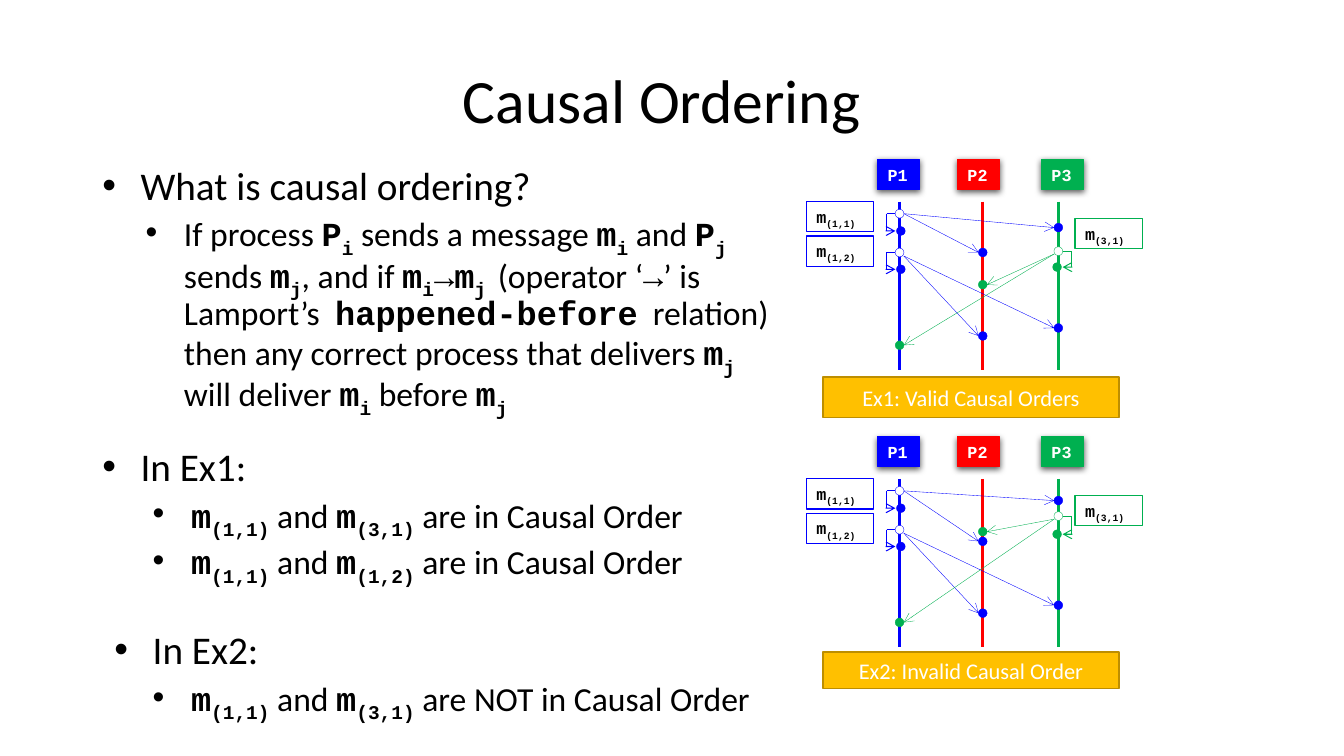
from dataclasses import dataclass
from typing import NamedTuple

from lxml import etree
from pptx import Presentation
from pptx.dml.color import RGBColor
from pptx.enum.shapes import MSO_CONNECTOR, MSO_SHAPE
from pptx.enum.text import MSO_ANCHOR, MSO_AUTO_SIZE, PP_ALIGN
from pptx.oxml.ns import qn
from pptx.util import Emu, Inches, Pt

RECTANGLE, OVAL = MSO_SHAPE.RECTANGLE, MSO_SHAPE.OVAL
STRAIGHT = MSO_CONNECTOR.STRAIGHT
TOP, MIDDLE = MSO_ANCHOR.TOP, MSO_ANCHOR.MIDDLE
LEFT, CENTER = PP_ALIGN.LEFT, PP_ALIGN.CENTER
GROW, FIXED = MSO_AUTO_SIZE.SHAPE_TO_FIT_TEXT, MSO_AUTO_SIZE.NONE

COLUMNS, ROWS = 160, 90
SLIDE_WIDTH, SLIDE_HEIGHT = Emu(12192000), Emu(6858000)
BLACK, WHITE, BLUE, RED, GREEN = "000000", "FFFFFF", "0000FF", "FF0000", "00B050"
GOLD, DARK_GOLD = "FFC000", "BD8E00"
SANS, MONO = "Calibri", "Courier New"
DOT, DOT_EDGE = 1.05, 0.5


class Run(NamedTuple):
    text: str
    font: str = SANS
    bold: bool = False
    sub: bool = False


class Box(NamedTuple):
    column: float
    row: float
    width: float
    height: float


@dataclass(frozen=True)
class Bullet:
    runs: list[Run]
    size: float
    indent: float
    before: float = 3.8


@dataclass(frozen=True)
class Process:
    name: str
    color: str
    header: float
    lifeline: float


@dataclass(frozen=True)
class Message:
    index: str
    sender: int
    label: tuple[float, float]
    sent: float
    leaves: float
    looped: float
    delivered: dict[int, float]


@dataclass(frozen=True)
class Diagram:
    caption: str
    top: float
    caption_row: float
    caption_height: float
    messages: list[Message]


def symbol(letter: str, index: str) -> list[Run]:
    return [Run(letter, MONO, True), Run(index, MONO, True, True)]


def comparison(first: str, second: str, verdict: str) -> list[Run]:
    return [*symbol("m", first), Run(" and "), *symbol("m", second), Run(verdict)]


BULLETS = [
    Bullet([Run("What is causal ordering?")], 28, 0.38),
    Bullet([
        Run("If process "), *symbol("P", "i"), Run(" sends a message "), *symbol("m", "i"),
        Run(" and "), *symbol("P", "j"), Run(" sends "), *symbol("m", "j"),
        Run(", and if "), *symbol("m", "i"), *symbol("→m", "j "), Run("(operator ‘"),
        Run("→", MONO), Run("’ is Lamport’s  "), Run("happened-before", MONO, True),
        Run("  relation) then any correct process that delivers "), *symbol("m", "j"),
        Run(" will deliver "), *symbol("m", "i"), Run(" before "), *symbol("m", "j"),
    ], 24, 0.81),
    Bullet([Run("In Ex1:")], 28, 0.38, 23),
    Bullet(comparison("(1,1)", "(3,1)", " are in Causal Order"), 24, 0.88),
    Bullet(comparison("(1,1)", "(1,2)", " are in Causal Order"), 24, 0.88),
    Bullet([Run("In Ex2:")], 28, 0.5, 34),
    Bullet(comparison("(1,1)", "(3,1)", " are NOT in Causal Order"), 24, 0.88),
]
PROCESSES = [
    Process("P1", BLUE, 104.5, 107.1),
    Process("P2", RED, 114, 117),
    Process("P3", GREEN, 124, 126),
]
SECOND = Message("(1,2)", 0, (96, 9.1), 11.06, 11.48, 13.06, {1: 21, 2: 20.05})
DIAGRAMS = [
    Diagram("Ex1: Valid Causal Orders", 19, 25.9, 4.8, [
        Message("(1,1)", 0, (96, 5), 6.44, 6.44, 8.5, {1: 11.06, 2: 8.1}),
        SECOND,
        Message("(3,1)", 2, (128, 7), 10.9, 11.24, 12.8, {1: 14.9, 0: 22.1}),
    ]),
    Diagram("Ex2: Invalid Causal Order", 52, 25.64, 4.32, [
        Message("(1,1)", 0, (96, 5), 6.44, 6.44, 8.5, {1: 12.45, 2: 7.6}),
        SECOND,
        Message("(3,1)", 2, (128, 7), 9.44, 9.8, 11.6, {1: 11.3, 0: 22.1}),
    ]),
]


def color(value: str) -> RGBColor:
    return RGBColor.from_string(value)


def across(columns: float) -> Emu:
    return Emu(round(SLIDE_WIDTH * columns / COLUMNS))


def down(rows: float) -> Emu:
    return Emu(round(SLIDE_HEIGHT * rows / ROWS))


def place(box: Box) -> tuple[Emu, Emu, Emu, Emu]:
    return across(box.column), down(box.row), across(box.width), down(box.height)


def add_runs(paragraph, runs: list[Run], size: float, ink: str) -> None:
    for part in runs:
        run = paragraph.add_run()
        run.text = part.text
        run.font.name, run.font.size, run.font.bold = part.font, Pt(size), part.bold
        run.font.color.rgb = color(ink)
        if part.sub:
            run.font._element.set("baseline", "-25000")


def add_figure(slide, kind, box: Box, fill: str, line: str, weight: float):
    figure = slide.shapes.add_shape(kind, *place(box))
    figure.shadow.inherit = False
    figure.fill.solid()
    figure.fill.fore_color.rgb = color(fill)
    figure.line.color.rgb = color(line)
    figure.line.width = Pt(weight)
    return figure


def write(figure, runs: list[Run], size: float, ink: str, align=LEFT, anchor=TOP, fit=GROW) -> None:
    frame = figure.text_frame
    frame.word_wrap, frame.vertical_anchor, frame.auto_size = True, anchor, fit
    frame.paragraphs[0].alignment = align
    add_runs(frame.paragraphs[0], runs, size, ink)


def add_shadow(figure) -> None:
    effects = figure._element.spPr.find(qn("a:effectLst"))
    shadow = etree.SubElement(effects, qn("a:outerShdw"), blurRad=str(Pt(4.5)),
                              dist=str(Pt(1.5)), dir="5400000", rotWithShape="0")
    ink = etree.SubElement(shadow, qn("a:srgbClr"), val=BLACK)
    etree.SubElement(ink, qn("a:alpha"), val="63000")


def add_line(slide, start: tuple[float, float], end: tuple[float, float],
             ink: str, weight: float, arrow: bool = False) -> None:
    line = slide.shapes.add_connector(STRAIGHT, across(start[0]), down(start[1]),
                                      across(end[0]), down(end[1]))
    line.line.color.rgb = color(ink)
    line.line.width = Pt(weight)
    properties = line._element.spPr
    if arrow:
        etree.SubElement(properties.find(qn("a:ln")), qn("a:tailEnd"), type="arrow")
    etree.SubElement(properties, qn("a:effectLst"))


def add_dot(slide, column: float, row: float, fill: str, line: str) -> None:
    add_figure(slide, OVAL, Box(column - DOT / 2, row - DOT / 2, DOT, DOT), fill, line, 0.25)


def draw_message(slide, message: Message, top: float) -> None:
    sender = PROCESSES[message.sender]
    ink, home = sender.color, sender.lifeline
    outward = -1 if message.sender == 0 else 1
    sent, looped, hook = top + message.sent, top + message.looped, home + 1.55 * outward
    label = Box(message.label[0], top + message.label[1], 8, 3.6)
    write(add_figure(slide, RECTANGLE, label, WHITE, ink, 1), symbol("m", message.index), 12, BLACK)
    for receiver, row in message.delivered.items():
        target = PROCESSES[receiver].lifeline
        add_line(slide, (home - DOT_EDGE * outward, top + message.leaves),
                 (target + DOT_EDGE * outward, top + row), ink, 0.25, True)
        add_dot(slide, target, top + row, ink, ink)
    add_line(slide, (hook, sent), (home + DOT_EDGE * outward, sent), ink, 0.75)
    add_line(slide, (hook, sent), (hook, looped), ink, 0.75)
    add_line(slide, (hook, looped), (home + DOT_EDGE * outward, looped), ink, 0.75, True)
    add_dot(slide, home, sent, WHITE, ink)
    add_dot(slide, home - 0.15 * outward, looped, ink, ink)


def draw_diagram(slide, diagram: Diagram) -> None:
    top = diagram.top
    for process in PROCESSES:
        add_line(slide, (process.lifeline, top + 5), (process.lifeline, top + 25), process.color, 2.25)
        header = add_figure(slide, RECTANGLE, Box(process.header, top, 5, 3.6),
                            process.color, process.color, 0.75)
        add_shadow(header)
        write(header, [Run(process.name, MONO, True)], 12, WHITE)
    for message in diagram.messages:
        draw_message(slide, message, top)
    caption = Box(98, top + diagram.caption_row, 35.2, diagram.caption_height)
    write(add_figure(slide, RECTANGLE, caption, GOLD, DARK_GOLD, 1),
          [Run(diagram.caption)], 16, WHITE, CENTER, MIDDLE, FIXED)


def draw_bullets(slide) -> None:
    frame = slide.shapes.add_textbox(*place(Box(11, 19.2, 82.2, 66))).text_frame
    frame.word_wrap = True
    for number, bullet in enumerate(BULLETS):
        paragraph = frame.add_paragraph() if number else frame.paragraphs[0]
        paragraph.line_spacing, paragraph.space_before = 0.9, Pt(bullet.before)
        properties = paragraph._p.get_or_add_pPr()
        properties.set("marL", str(Inches(bullet.indent)))
        properties.set("indent", str(Inches(-0.38)))
        etree.SubElement(properties, qn("a:buFont"), typeface="Arial")
        etree.SubElement(properties, qn("a:buChar"), char="•")
        add_runs(paragraph, bullet.runs, bullet.size, BLACK)


def main() -> None:
    deck = Presentation()
    deck.slide_width, deck.slide_height = SLIDE_WIDTH, SLIDE_HEIGHT
    slide = deck.slides.add_slide(deck.slide_layouts[6])
    title = slide.shapes.add_textbox(*place(Box(11, 3.6, 135.6, 17.4)))
    write(title, [Run("Causal Ordering")], 44, BLACK, CENTER, MIDDLE, FIXED)
    title.text_frame.paragraphs[0].line_spacing = 0.9
    draw_bullets(slide)
    for diagram in DIAGRAMS:
        draw_diagram(slide, diagram)
    deck.save("out.pptx")


if __name__ == "__main__":
    main()
